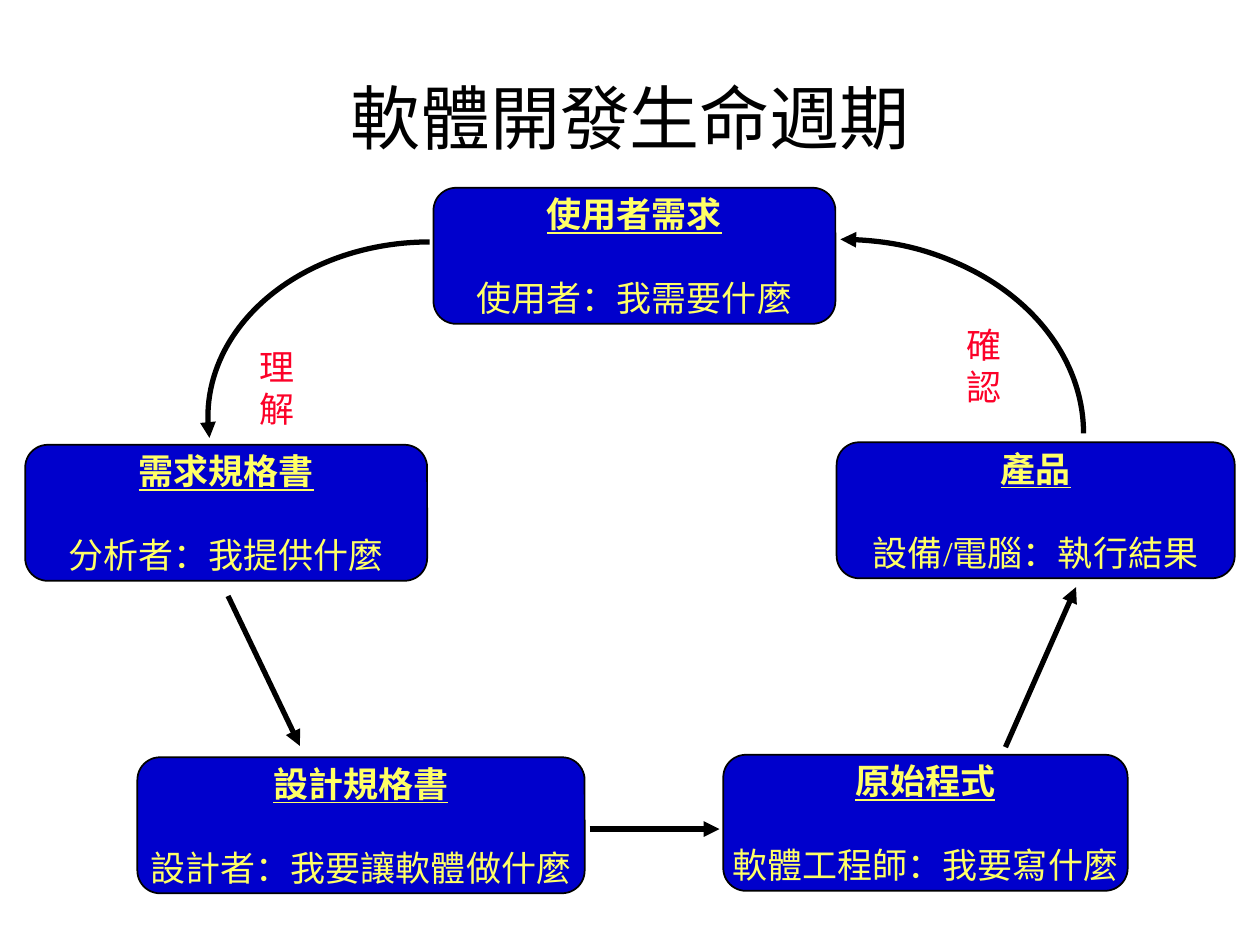
from lxml import etree
from pptx import Presentation
from pptx import util as u
from pptx.dml import color as c
from pptx.enum import shapes, text
from pptx.oxml import ns

Inches = u.Inches
FONT = "Times New Roman"
COLORS = {"ink": "000000", "box": "0000CC", "text": "FFFF66", "label": "FC0128"}


def rgb(name):
    return c.RGBColor.from_string(COLORS[name])


def add_run(para, words, size, color, bold=False):
    run = para.add_run()
    run.text = words
    font = run.font
    font.name, font.size = FONT, u.Pt(size)
    font.bold = font.underline = bold
    font.color.rgb = rgb(color)


def pad(frame):
    frame.margin_left = frame.margin_right = Inches(0.16)
    frame.margin_top = frame.margin_bottom = Inches(0.08)


def set_title(slide, box, words):
    title = slide.shapes.title
    title.left, title.top, title.width, title.height = map(Inches, box)
    frame = title.text_frame
    frame.vertical_anchor = text.MSO_ANCHOR.MIDDLE
    para = frame.paragraphs[0]
    para.alignment = text.PP_ALIGN.CENTER
    add_run(para, words, 40, "ink")


def add_stage(slide, box, name, role):
    shape = slide.shapes.add_shape(
        shapes.MSO_SHAPE.ROUNDED_RECTANGLE, *map(Inches, box))
    shape.shadow.inherit = False
    shape.fill.solid()
    shape.fill.fore_color.rgb = rgb("box")
    shape.line.color.rgb = rgb("ink")
    shape.line.width = u.Pt(1)
    frame = shape.text_frame
    pad(frame)
    frame.word_wrap = False
    frame.vertical_anchor = text.MSO_ANCHOR.MIDDLE
    head, body = frame.paragraphs[0], frame.add_paragraph()
    head.alignment = body.alignment = text.PP_ALIGN.CENTER
    body.space_before = u.Pt(24)
    add_run(head, name, 20, "text", True)
    add_run(body, role, 20, "text")


def add_label(slide, box, words):
    frame = slide.shapes.add_textbox(*map(Inches, box)).text_frame
    pad(frame)
    frame.word_wrap = True
    add_run(frame.paragraphs[0], words, 20, "label")


def style_line(shape, end):
    shape.line.color.rgb = rgb("ink")
    shape.line.width = u.Pt(3)
    line = shape.line._get_or_add_ln()
    etree.SubElement(line, ns.qn(f"a:{end}"), type="triangle")


def add_arrow(slide, start, stop):
    arrow = slide.shapes.add_connector(
        shapes.MSO_CONNECTOR.STRAIGHT, *map(Inches, start + stop))
    style_line(arrow, "tailEnd")
    etree.SubElement(arrow._element.spPr, ns.qn("a:effectLst"))


def add_curve(slide, start, stop, radii, sweep, end):
    build = slide.shapes.build_freeform(*map(Inches, start))
    build.add_line_segments([tuple(map(Inches, stop))], close=False)
    curve = build.convert_to_shape()
    curve.shadow.inherit = False
    curve.fill.background()
    wide, high = (str(Inches(r)) for r in radii)
    step = curve._element.find(".//" + ns.qn("a:lnTo"))
    arc = etree.Element(ns.qn("a:arcTo"), wR=wide, hR=high,
                        stAng=str(270 * 60000), swAng=str(int(sweep * 60000)))
    step.getparent().replace(step, arc)
    style_line(curve, end)


def add_cycle(slide, box):
    left, top = box[:2]

    def at(x, y):
        return left + x, top + y

    stages = [
        (3.24, 0, 3.19, "使用者需求", "使用者：我需要什麼"),
        (0, 2.04, 3.19, "需求規格書", "分析者：我提供什麼"),
        (0.89, 4.52, 3.55, "設計規格書", "設計者：我要讓軟體做什麼"),
        (5.54, 4.5, 3.21, "原始程式", "軟體工程師：我要寫什麼"),
        (6.44, 2.02, 3.16, "產品", "設備/電腦：執行結果"),
    ]
    for x, y, wide, name, role in stages:
        add_stage(slide, (*at(x, y), wide, 1.08), name, role)

    add_curve(slide, at(3.21, 0.43), at(1.46, 1.95), (1.76, 1.39), -95.4, "tailEnd")
    add_curve(slide, at(6.47, 0.41), at(8.4, 1.95), (1.93, 1.54), 90, "headEnd")

    arrows = [
        ((1.61, 3.24), (2.18, 4.43)),
        ((4.48, 5.09), (5.51, 5.09)),
        ((7.78, 4.44), (8.34, 3.17)),
    ]
    for start, stop in arrows:
        add_arrow(slide, at(*start), at(*stop))

    for x, y, words in [(1.7, 1.17, "理解"), (7.31, 1, "確認")]:
        add_label(slide, (*at(x, y), 0.64, 0.83), words)


def main():
    deck = Presentation()
    deck.slide_width, deck.slide_height = Inches(10), Inches(7.5)
    slide = deck.slides.add_slide(deck.slide_layouts[5])
    set_title(slide, (0.5, 0.3, 9, 1.25), "軟體開發生命週期")
    add_cycle(slide, (0.2, 1.49, 9.6, 5.6))
    deck.save("out.pptx")


if __name__ == "__main__":
    main()
